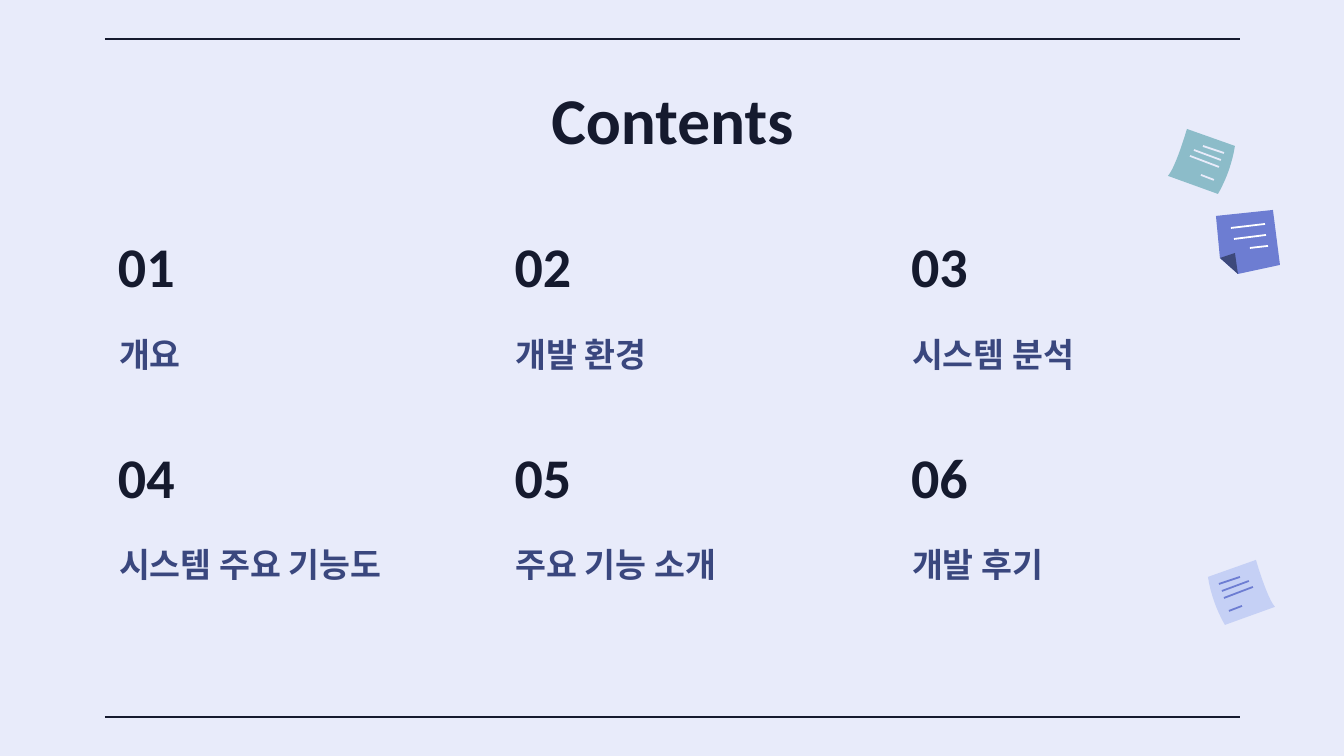
from dataclasses import dataclass
from math import hypot

from lxml import etree
from pptx import Presentation
from pptx.dml.color import RGBColor
from pptx.enum.shapes import MSO_CONNECTOR
from pptx.enum.text import MSO_ANCHOR, PP_ALIGN
from pptx.oxml.ns import qn
from pptx.util import Pt

STRAIGHT = MSO_CONNECTOR.STRAIGHT
TOP, BOTTOM = MSO_ANCHOR.TOP, MSO_ANCHOR.BOTTOM
LEFT, CENTER = PP_ALIGN.LEFT, PP_ALIGN.CENTER
EMU_PER_PX = 914400 / 134.4


@dataclass(frozen=True)
class Theme:
    """Colours, fonts and type sizes of the deck."""
    background: str = "E8EBFA"
    ink: str = "151A2E"
    topic: str = "3A477E"
    teal: str = "8CBCC9"
    violet: str = "6D7DD2"
    fold: str = "3D497B"
    lavender: str = "C5D0F5"
    white: str = "FFFFFF"
    latin: str = "Calibri"
    korean: str = "Noto Sans CJK KR"
    title_size: int = 35
    number_size: int = 30
    topic_size: int = 18


THEME = Theme()
TOPICS = ["개요", "개발 환경", "시스템 분석",
          "시스템 주요 기능도", "주요 기능 소개", "개발 후기"]
CURLED_STROKES = [((1203, 146), (1224, 153)), ((1194, 150), (1221, 160)),
                  ((1190, 156), (1219, 167)), ((1201, 175), (1214, 180))]
FOLDED_STROKES = [((1231, 228), (1265, 224)), ((1234, 239), (1266, 235)),
                  ((1250, 248), (1268, 246))]


def px(value):
    """Turn pixels into EMU."""
    return round(value * EMU_PER_PX)


def rgb(colour):
    """Turn a hex string into a colour."""
    return RGBColor.from_string(colour)


def place(sp, left, top, width, height):
    """Set the position and size of a shape in pixels."""
    sp.left, sp.top, sp.width, sp.height = map(px, (left, top, width, height))


def write(sp, text, size, colour, font, align=LEFT, anchor=BOTTOM):
    """Write one bold line of text into a shape."""
    tf = sp.text_frame
    tf.word_wrap = True
    tf.vertical_anchor = anchor
    tf.margin_left = tf.margin_right = tf.margin_top = tf.margin_bottom = px(13)
    p = tf.paragraphs[0]
    p.alignment = align
    r = p.add_run()
    r.text = text
    r.font.name, r.font.size, r.font.bold = font, Pt(size), True
    r.font.color.rgb = rgb(colour)
    ea = etree.SubElement(r.font._element, qn("a:ea"))
    ea.set("typeface", font)


def add_label(s, box, text, size, colour, font):
    """Add a text box holding one bold line."""
    sp = s.shapes.add_textbox(0, 0, 0, 0)
    place(sp, *box)
    write(sp, text, size, colour, font)


def add_rule(s, y):
    """Add a horizontal rule across the content width."""
    line = s.shapes.add_connector(STRAIGHT, px(105), px(y), px(1240), px(y))
    line.line.color.rgb = rgb(THEME.ink)
    line.line.width = Pt(1.5)
    etree.SubElement(line._element.spPr, qn("a:effectLst"))


def add_polygon(group, points, colour):
    """Add a filled outline without a border."""
    start, *rest = [(px(x), px(y)) for x, y in points]
    builder = group.shapes.build_freeform(*start)
    builder.add_line_segments(rest, close=True)
    sp = builder.convert_to_shape()
    sp.shadow.inherit = False
    sp.fill.solid()
    sp.fill.fore_color.rgb = rgb(colour)
    sp.line.fill.background()


def add_stroke(group, start, end, colour):
    """Add a thin written line on a note."""
    (x1, y1), (x2, y2) = start, end
    length = hypot(x2 - x1, y2 - y1)
    dx, dy = (y1 - y2) / length * 0.9, (x2 - x1) / length * 0.9
    corners = [(x1 + dx, y1 + dy), (x2 + dx, y2 + dy),
               (x2 - dx, y2 - dy), (x1 - dx, y1 - dy)]
    add_polygon(group, corners, colour)


def curve(start, control, end, steps=12):
    """Return points of a cubic curve whose last control is its end."""
    points = []
    for i in range(steps + 1):
        t = i / steps
        a, b = (1 - t) ** 3, 3 * t * (1 - t) ** 2
        points.append(tuple(a * u + b * v + (1 - a - b) * w
                            for u, v, w in zip(start, control, end)))
    return points


def add_curled_note(s, colour, stroke_colour, move):
    """Add a note with curved sides, each point passed through move."""
    group = s.shapes.add_group_shape()
    outline = (curve((1235, 146), (1231, 173), (1218, 194))
               + curve((1168, 176), (1176, 167), (1187, 129)))
    add_polygon(group, [move(point) for point in outline], colour)
    for start, end in CURLED_STROKES:
        add_stroke(group, move(start), move(end), stroke_colour)


def add_folded_note(s):
    """Add the note with a folded corner."""
    group = s.shapes.add_group_shape()
    add_polygon(group, [(1273, 210), (1280, 265), (1238, 274),
                        (1220, 258), (1216, 216)], THEME.violet)
    add_polygon(group, [(1235, 253), (1238, 274), (1220, 258)], THEME.fold)
    for start, end in FOLDED_STROKES:
        add_stroke(group, start, end, THEME.white)


def add_topics(s):
    """Add the numbered topics in a grid of three columns."""
    for i, topic in enumerate(TOPICS):
        row, col = divmod(i, 3)
        x, y = 105 + col * 396.5, 227 + row * 210.5
        add_label(s, (x, y, 108, 85), f"{i + 1:02}",
                  THEME.number_size, THEME.ink, THEME.latin)
        add_label(s, (x + 1, y + 89, 339, 71), topic,
                  THEME.topic_size, THEME.topic, THEME.korean)


def main():
    """Build the contents slide."""
    prs = Presentation()
    prs.slide_width, prs.slide_height = px(1344), px(756)
    s = prs.slides.add_slide(prs.slide_layouts[5])
    s.background.fill.solid()
    s.background.fill.fore_color.rgb = rgb(THEME.background)
    for y in (717, 39):
        add_rule(s, y)
    title = s.shapes.title
    place(title, 106, 66, 1133, 85)
    write(title, "Contents", THEME.title_size, THEME.ink, THEME.latin, CENTER, TOP)
    add_topics(s)
    add_curled_note(s, THEME.teal, THEME.background, lambda point: point)
    add_folded_note(s)
    add_curled_note(s, THEME.lavender, THEME.violet,
                    lambda point: (2443 - point[0], point[1] + 431))
    prs.save("out.pptx")


if __name__ == "__main__":
    main()
